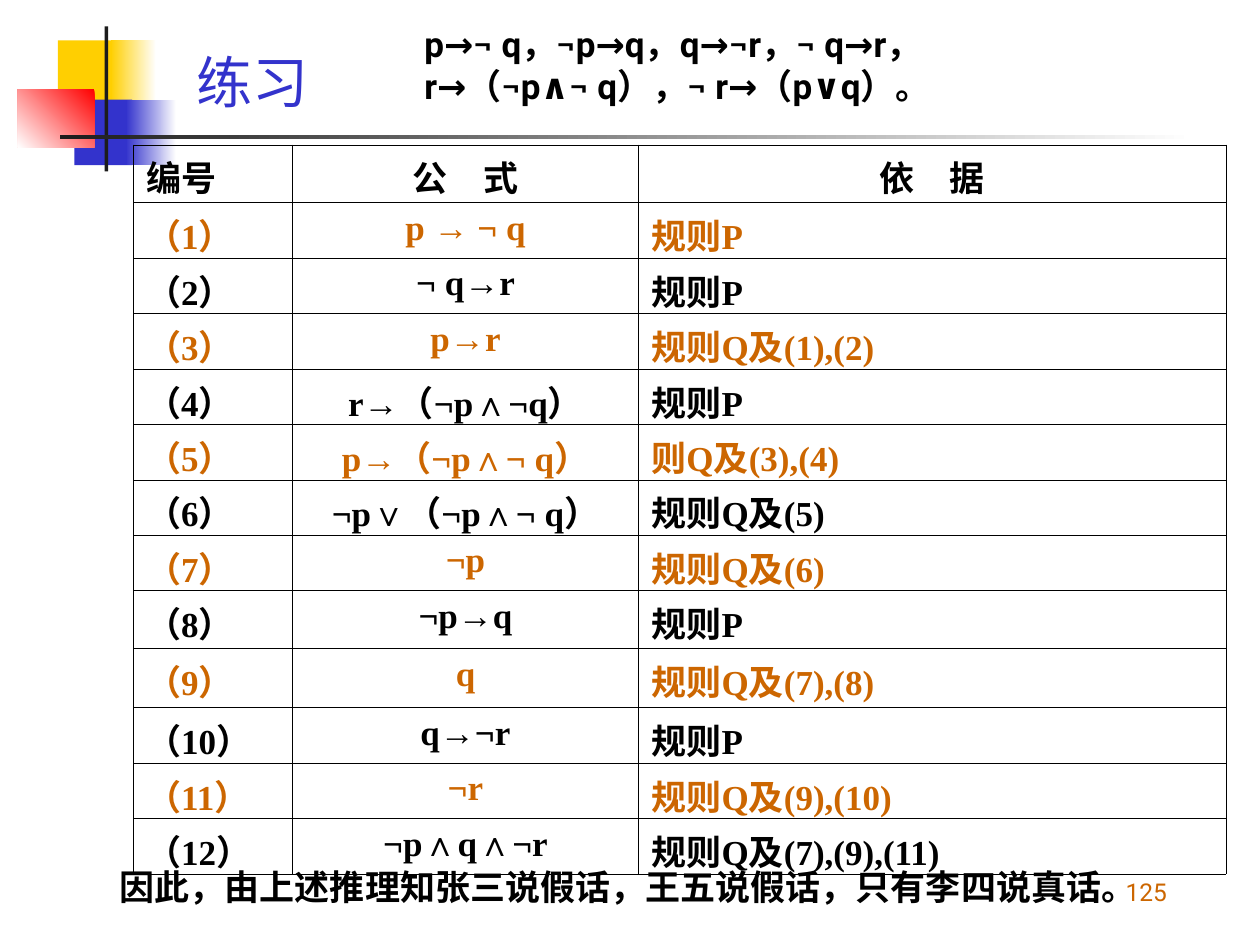
from lxml import etree
from pptx import Presentation
from pptx.dml.color import RGBColor
from pptx.enum import shapes, text
from pptx.oxml.ns import qn
from pptx.util import Inches, Pt

BLACK = RGBColor(0, 0, 0)
WHITE = RGBColor(0xFF, 0xFF, 0xFF)
GOLD = RGBColor(0xFF, 0xCF, 0x01)
BLUE = RGBColor(0x33, 0x33, 0xCC)
RED = RGBColor(0xFF, 0, 0)
DARK = RGBColor(0x1C, 0x1C, 0x1C)
RUST = RGBColor(0xCC, 0x66, 0)
SERIF, SANS = "Times New Roman", "Roboto"
LEFT, MID, RIGHT = text.PP_ALIGN.LEFT, text.PP_ALIGN.CENTER, text.PP_ALIGN.RIGHT

# Left, top, width, height, then one colour, or two colours and an angle
DECOR = [
    (0.46, 0.32, 0.48, 0.52, GOLD),
    (0.88, 0.32, 0.36, 0.52, WHITE, GOLD, 180),
    (0.59, 0.79, 0.46, 0.52, BLUE),
    (1, 0.79, 0.4, 0.52, WHITE, BLUE, 180),
    (0.14, 0.71, 0.61, 0.46, RED, WHITE, 225),
    (0.83, 0.21, 0.03, 1.15, DARK),
    (0.48, 1.07, 9, 0.03, WHITE, DARK, 180),
]
HEAD = ("编号", "公　式", "依　据")
STEPS = [
    ("p → ¬ q", "规则P"),
    ("¬ q→r", "规则P"),
    ("p→r", "规则Q及(1),(2)"),
    ("r→（¬p∧¬q）", "规则P"),
    ("p→（¬p∧¬ q）", "则Q及(3),(4)"),
    ("¬p∨（¬p∧¬ q）", "规则Q及(5)"),
    ("¬p", "规则Q及(6)"),
    ("¬p→q", "规则P"),
    ("q", "规则Q及(7),(8)"),
    ("q→¬r", "规则P"),
    ("¬r", "规则Q及(9),(10)"),
    ("¬p∧q∧¬r", "规则Q及(7),(9),(11)"),
]
WIDTHS = (1.26, 2.75, 4.66)
TALL = {0: 0.46, 8: 0.46, 9: 0.47}
ROW = 0.44


def add_block(slide, x, y, w, h, color, end=None, angle=0):
    block = slide.shapes.add_shape(
        shapes.MSO_SHAPE.RECTANGLE, Inches(x), Inches(y), Inches(w), Inches(h))
    block.shadow.inherit = False
    block.line.fill.background()
    if end is None:
        block.fill.solid()
        block.fill.fore_color.rgb = color
        return
    block.fill.gradient()
    block.fill.gradient_angle = angle
    for stop, tint in zip(block.fill.gradient_stops, (color, end)):
        stop.color.rgb = tint


def put_text(frame, lines, size, name, color, bold=False, align=LEFT):
    frame.text = "\n".join(lines)
    for para in frame.paragraphs:
        para.alignment = align
        font = para.font
        font.size, font.name, font.bold = Pt(size), name, bold
        font.color.rgb = color


def add_box(slide, x, y, w, h, lines, *style, **more):
    frame = slide.shapes.add_textbox(
        Inches(x), Inches(y), Inches(w), Inches(h)).text_frame
    frame.word_wrap = True
    put_text(frame, lines, *style, **more)
    return frame


def set_title(slide):
    title = slide.shapes.title
    title.left, title.top = Inches(1.46), Inches(0.3)
    title.width, title.height = Inches(1.42), Inches(0.69)
    frame = title.text_frame
    frame.auto_size = text.MSO_AUTO_SIZE.NONE
    frame.vertical_anchor = text.MSO_ANCHOR.MIDDLE
    put_text(frame, ["练习"], 32, SANS, BLUE)


def add_border(cell):
    props = cell._tc.get_or_add_tcPr()
    for spot, side in enumerate(("lnL", "lnR", "lnT", "lnB")):
        line = etree.Element(qn("a:" + side), w=str(Pt(0.45)))
        fill = etree.SubElement(line, qn("a:solidFill"))
        etree.SubElement(fill, qn("a:srgbClr"), val=str(BLACK))
        props.insert(spot, line)


def add_proof(slide):
    rows = [HEAD] + [(f"（{n}）", *step) for n, step in enumerate(STEPS, 1)]
    highs = [TALL.get(r, ROW) for r in range(len(rows))]
    table = slide.shapes.add_table(
        len(rows), len(WIDTHS), Inches(1.06), Inches(1.15),
        Inches(sum(WIDTHS)), Inches(sum(highs))).table
    table.first_row = table.horz_banding = False
    for col, wide in zip(table.columns, WIDTHS):
        col.width = Inches(wide)
    for r, row in enumerate(rows):
        table.rows[r].height = Inches(highs[r])
        for c, words in enumerate(row):
            cell = table.cell(r, c)
            cell.fill.background()
            cell.margin_bottom = 0
            add_border(cell)
            centred = c == 1 or (r == 0 and c == 2)
            put_text(cell.text_frame, [words], 20, SERIF,
                     RUST if r % 2 else BLACK, True, MID if centred else LEFT)


def main():
    deck = Presentation()
    deck.slide_width, deck.slide_height = Inches(10), Inches(7.5)
    slide = deck.slides.add_slide(deck.slide_layouts[5])
    for block in DECOR:
        add_block(slide, *block)
    end = add_box(slide, 0.28, 6.82, 9.13, 0.5,
                  ["因此，由上述推理知张三说假话，王五说假话，只有李四说真话。"],
                  20, SERIF, BLACK, bold=True)
    end.margin_left = Inches(0.67)
    add_proof(slide)
    add_box(slide, 3.27, 0.13, 5.83, 0.77,
            ["p→¬ q，¬p→q，q→¬r，¬ q→r，", "r→（¬p∧¬ q），¬ r→（p∨q）。"],
            20, SANS, BLACK, bold=True)
    set_title(slide)
    page = add_box(slide, 7.28, 6.74, 2.08, 0.5, ["125"], 14, SANS, RUST,
                   align=RIGHT)
    page.vertical_anchor = text.MSO_ANCHOR.BOTTOM
    deck.save("out.pptx")


if __name__ == "__main__":
    main()
